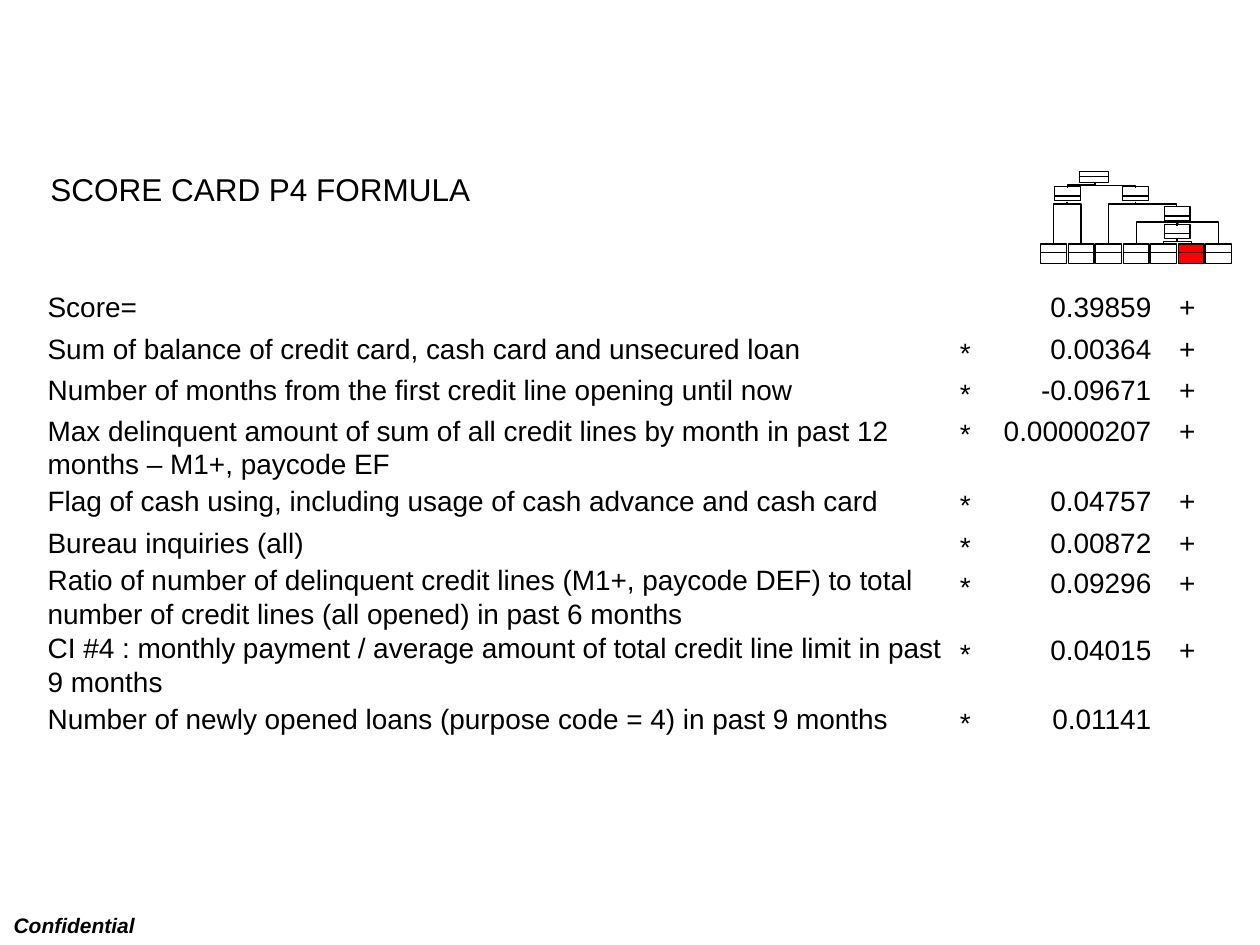
"""Build the score card formula slide with its decision tree."""
import lxml.etree
import pptx
import pptx.dml.color
import pptx.enum.shapes
import pptx.enum.text
import pptx.oxml.ns
import pptx.util

Pt = pptx.util.Pt
qn = pptx.oxml.ns.qn
ALIGN = pptx.enum.text.PP_ALIGN
CONNECTOR = pptx.enum.shapes.MSO_CONNECTOR
BLACK = pptx.dml.color.RGBColor(0x00, 0x00, 0x00)
RED = pptx.dml.color.RGBColor(0xFF, 0x00, 0x00)

LABEL_LEFT, STAR_LEFT, VALUE_LEFT, PLUS_LEFT = 20.16, 541.44, 560, 666.72
LABEL_WIDTH, STAR_WIDTH, VALUE_WIDTH, PLUS_WIDTH = 530, 34.56, 105, 23.76
LINE_HEIGHT = 26.64
TERMS = [
    (162, 162, "Score=", "", "0.39859", "+"),
    (185.76, 185.76, "Sum of balance of credit card, cash card and unsecured loan", "*", "0.00364", "+"),
    (209.2, 209.2, "Number of months from the first credit line opening until now", "*", "-0.09671", "+"),
    (232.56, 232.56, "Max delinquent amount of sum of all credit lines by month in past 12 months "
     "– M1+, paycode EF", "*", "0.00000207", "+"),
    (272.88, 272.88, "Flag of cash using, including usage of cash advance and cash card", "*", "0.04757", "+"),
    (296.64, 296.64, "Bureau inquiries (all)", "*", "0.00872", "+"),
    (319.68, 317.95, "Ratio of number of delinquent credit lines (M1+, paycode DEF) to total number "
     "of credit lines (all opened) in past 6 months", "*", "0.09296", "+"),
    (357.84, 356.8, "CI #4 : monthly payment / average amount of total credit line limit in past "
     "9 months", "*", "0.04015", "+"),
    (397.44, 397.44, "Number of newly opened loans (purpose code = 4) in past 9 months", "*", "0.01141", ""),
]

LEAF_LEFT, LEAF_TOP, LEAF_PITCH, LEAF_WIDTH = 594.72, 139.4, 15.72, 14.76
LEAF_COUNT, RED_LEAF = 7, 5
INNER_NODES = [(602.64, 106.56), (641.52, 106.56), (665.28, 118.08), (665.28, 128.16)]


def write_text(shape, text, size=16, bold=False, italic=False, align=ALIGN.LEFT, wrap=True,
               anchor=pptx.enum.text.MSO_ANCHOR.TOP):
    """Put formatted text into a shape."""
    frame = shape.text_frame
    frame.text = text
    frame.word_wrap = wrap
    frame.auto_size = pptx.enum.text.MSO_AUTO_SIZE.NONE
    frame.vertical_anchor = anchor
    paragraph = frame.paragraphs[0]
    paragraph.alignment = align
    font = paragraph.runs[0].font
    font.name, font.size, font.bold, font.italic = "Arial", Pt(size), bold, italic
    font.color.rgb = BLACK


def add_text(slide, left, top, width, height, text, **text_format):
    """Add a text box."""
    box = slide.shapes.add_textbox(Pt(left), Pt(top), Pt(width), Pt(height))
    write_text(box, text, **text_format)


def add_title(slide, text):
    """Move and fill the title placeholder."""
    title = slide.shapes.title
    title.left, title.top, title.width, title.height = Pt(21.6), Pt(93.6), Pt(678.24), Pt(28.8)
    write_text(title, text, size=18, anchor=pptx.enum.text.MSO_ANCHOR.MIDDLE)


def add_term(slide, top, label_top, label, star, value, plus):
    """Add one row of the formula."""
    cells = [
        (LABEL_LEFT, label_top, LABEL_WIDTH, label, ALIGN.LEFT),
        (STAR_LEFT, top + 2.2, STAR_WIDTH, star, ALIGN.LEFT),
        (VALUE_LEFT, top, VALUE_WIDTH, value, ALIGN.RIGHT),
        (PLUS_LEFT, top, PLUS_WIDTH, plus, ALIGN.LEFT),
    ]
    for left, cell_top, width, text, align in cells:
        if text:
            height = 46 if len(text) > 70 else LINE_HEIGHT
            add_text(slide, left, cell_top, width, height, text, align=align)


def add_line(group, kind, left, top, right, bottom):
    """Add a thin black connector without shadow."""
    line = group.shapes.add_connector(kind, Pt(left), Pt(top), Pt(right), Pt(bottom))
    line.line.color.rgb = BLACK
    line.line.width = Pt(0.75)
    lxml.etree.SubElement(line._element.spPr, qn("a:effectLst"))
    return line


def add_branch(group, x, y, child_x, child_y, drop=1.44):
    """Add an elbow that goes down, across and down to a child."""
    middle_x, middle_y = (x + child_x) / 2, (y + child_y) / 2
    length, spread = child_y - y, abs(child_x - x)
    line = add_line(group, CONNECTOR.ELBOW, middle_x - length / 2, middle_y - spread / 2,
                    middle_x + length / 2, middle_y + spread / 2)
    transform = line._element.spPr.find(qn("a:xfrm"))
    rightward = child_x > x
    transform.set("rot", "16200000" if rightward else "5400000")
    if rightward:
        transform.set("flipH", "1")
    geometry = line._element.spPr.find(qn("a:prstGeom"))
    guides = geometry.find(qn("a:avLst"))
    lxml.etree.SubElement(guides, qn("a:gd"), name="adj1", fmla=f"val {round(drop / length * 100000)}")


def add_node(group, left, top, width, height, divider, fill=None):
    """Add a tree node split by a horizontal line."""
    node = group.shapes.add_shape(pptx.enum.shapes.MSO_SHAPE.RECTANGLE,
                                  Pt(left), Pt(top), Pt(width), Pt(height))
    node.shadow.inherit = False
    node.line.color.rgb = BLACK
    node.line.width = Pt(0.75)
    if fill is None:
        node.fill.background()
    else:
        node.fill.solid()
        node.fill.fore_color.rgb = fill
    add_line(group, CONNECTOR.STRAIGHT, left, top + divider, left + width, top + divider)


def add_tree(slide):
    """Add the small decision tree with one leaf marked."""
    group = slide.shapes.add_group_shape()
    leaves = [LEAF_LEFT + index * LEAF_PITCH for index in range(LEAF_COUNT)]
    centres = [left + LEAF_WIDTH / 2 for left in leaves]
    add_node(group, 617.04, 97.92, 16.56, 6.48, 2.88)
    for left, top in INNER_NODES:
        add_node(group, left, top, LEAF_WIDTH, 8.2, 5.4)
    for index, left in enumerate(leaves):
        add_node(group, left, LEAF_TOP, LEAF_WIDTH, 11.2, 5.04, RED if index == RED_LEAF else None)
    left_x, right_x, lower_x = 609.84, 648.72, 672.48
    for child_x in (left_x, right_x):
        add_branch(group, 625.68, 104.4, child_x, 107.28)
    add_branch(group, right_x, 115.2, lower_x, 117.8)
    add_branch(group, 673.2, 126, lower_x, 128.88)
    leaf_links = [(left_x, 115.2, 1.44, (0, 1)), (right_x, 115.2, 1.44, (2,)),
                  (673.2, 126, 0.8, (3, 6)), (lower_x, 136.8, 1.44, (4, 5))]
    for x, y, drop, children in leaf_links:
        for child in children:
            add_branch(group, x, y, centres[child], LEAF_TOP, drop)


def main():
    """Build and save the presentation."""
    presentation = pptx.Presentation()
    presentation.slide_width, presentation.slide_height = Pt(720), Pt(540)
    slide = presentation.slides.add_slide(presentation.slide_layouts[5])
    add_title(slide, "SCORE CARD P4 FORMULA")
    for term in TERMS:
        add_term(slide, *term)
    add_tree(slide)
    add_text(slide, 0.72, 517.68, 87.12, 21.6, "Confidential", size=12, bold=True, italic=True, wrap=False)
    presentation.save("out.pptx")


if __name__ == "__main__":
    main()
